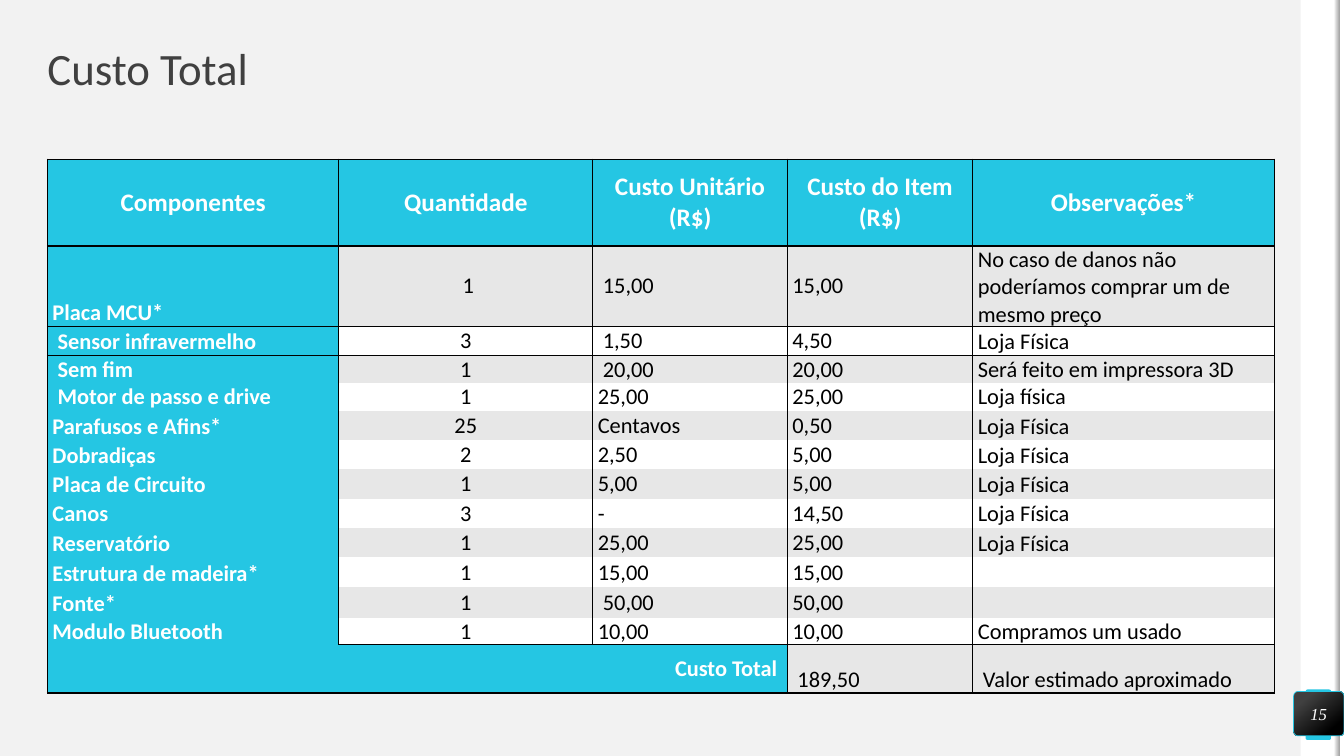
from lxml.etree import SubElement
from pptx import Presentation
from pptx.dml.color import RGBColor
from pptx.enum.shapes import MSO_SHAPE as Preset
from pptx.enum.text import MSO_ANCHOR as Anchor, PP_ALIGN as Align
from pptx.oxml.ns import qn
from pptx.util import Inches, Pt

COLORS = {"paper": "F2F2F2", "white": "FFFFFF", "cyan": "25C6E3", "band": "E7E7E7",
          "title": "404040", "black": "000000", "edge": "A6A6A6"}
PLAIN_TABLE = "{2D5ABB26-0587-4C30-8999-92F81FD0307C}"

# A leading or trailing space marks a cell with a wider margin on that side
COSTS = [
    ["Componentes", "Quantidade", "Custo Unitário\n(R$)", "Custo do Item\n(R$)", "Observações*"],
    ["Placa MCU*", " 1", " 15,00", "15,00",
     "No caso de danos não poderíamos comprar um de mesmo preço"],
    [" Sensor infravermelho", "3", " 1,50", "4,50", "Loja Física"],
    [" Sem fim", "1", " 20,00", "20,00", "Será feito em impressora 3D"],
    [" Motor de passo e drive", "1", "25,00", "25,00", "Loja física"],
    ["Parafusos e Afins*", "25", "Centavos", "0,50", "Loja Física"],
    ["Dobradiças", "2", "2,50", "5,00", "Loja Física"],
    ["Placa de Circuito", "1", "5,00", "5,00", "Loja Física"],
    ["Canos", "3", "-", "14,50", "Loja Física"],
    ["Reservatório", "1", "25,00", "25,00", "Loja Física"],
    ["Estrutura de madeira*", "1", "15,00", "15,00", ""],
    ["Fonte*", "1", " 50,00", "50,00", ""],
    ["Modulo Bluetooth", "1", "10,00", "10,00", "Compramos um usado"],
    ["Custo Total ", "", "", " 189,50", " Valor estimado aproximado"],
]
COLUMN_SHARES = [21.68, 18.9, 14.48, 13.8, 22.43]
ROW_SHARES = [11.47, 5.47, 3.87, 3.33, 3.73] + [3.87] * 7 + [3.07, 6.4]
TOTAL = len(COSTS) - 1


def rgb(name):
    return RGBColor.from_string(COLORS[name])


def write(frame, text, size=16, color="black", font="Calibri", bold=False,
          italic=False, align=Align.LEFT, spacing=None):
    """Fill a text frame, one paragraph per line of text."""
    for number, line in enumerate(text.split("\n")):
        paragraph = frame.paragraphs[0] if number == 0 else frame.add_paragraph()
        paragraph.alignment = align
        if spacing:
            paragraph.line_spacing = spacing
        run = paragraph.add_run()
        run.text = line
        run.font.size, run.font.name = Pt(size), font
        run.font.bold, run.font.italic = bold, italic
        run.font.color.rgb = rgb(color)


class CostSlide:
    """Places elements by percentages of the slide's width and height."""

    def __init__(self):
        self.deck = Presentation()
        self.deck.slide_width, self.deck.slide_height = Inches(13.33), Inches(7.5)
        self.slide = self.deck.slides.add_slide(self.deck.slide_layouts[6])
        self.slide.background.fill.solid()
        self.slide.background.fill.fore_color.rgb = rgb("paper")

    def across(self, share):
        return round(self.deck.slide_width * share / 100)

    def down(self, share):
        return round(self.deck.slide_height * share / 100)

    def box(self, left, top, width, height):
        return self.across(left), self.down(top), self.across(width), self.down(height)

    def block(self, area, fill=None, stops=(), angle=0, corner=None, line=None):
        preset = Preset.RECTANGLE if corner is None else Preset.ROUNDED_RECTANGLE
        shape = self.slide.shapes.add_shape(preset, *self.box(*area))
        shape.shadow.inherit = False
        if corner is not None:
            shape.adjustments[0] = corner
        if stops:
            shape.fill.gradient()
            shape.fill.gradient_angle = angle
            for stop, (position, color) in zip(shape.fill.gradient_stops, stops):
                stop.position, stop.color.rgb = position, rgb(color)
        else:
            shape.fill.solid()
            shape.fill.fore_color.rgb = rgb(fill)
        if line:
            shape.line.color.rgb, shape.line.width = rgb(line), Pt(0.5)
        else:
            shape.line.fill.background()
        return shape

    def label(self, shape, text, **style):
        frame = shape.text_frame
        frame.margin_left = frame.margin_right = frame.margin_top = frame.margin_bottom = 0
        frame.vertical_anchor, frame.word_wrap = Anchor.MIDDLE, True
        write(frame, text, **style)

    def text(self, area, text, **style):
        self.label(self.slide.shapes.add_textbox(*self.box(*area)), text, **style)

    def border(self, cell, sides):
        properties = cell._tc.get_or_add_tcPr()
        for side in sides:
            edge = SubElement(properties, qn(f"a:ln{side}"), w=str(Pt(1)))
            SubElement(SubElement(edge, qn("a:solidFill")), qn("a:srgbClr"), val=COLORS["black"])

    def cost_cell(self, cell, row, column):
        text = COSTS[row][column]
        header, named = row == 0, column == 0
        accent = header or named
        cell.margin_left = Inches(0.1 if text.startswith(" ") else 0.05)
        cell.margin_right = Inches(0.1 if text.endswith(" ") else 0.05)
        cell.margin_top = cell.margin_bottom = 0

        # Rules: header, first item, above the total and the foot
        sides = "LR"
        if row < 3 or (row == TOTAL and column > 2):
            sides += "T"
        if row < 2 or row == TOTAL or (row == TOTAL - 1 and column > 0):
            sides += "B"
        self.border(cell, sides)
        cell.fill.solid()
        cell.fill.fore_color.rgb = rgb("cyan" if accent else "band" if row % 2 else "white")

        align, anchor = Align.LEFT, Anchor.MIDDLE
        if row == TOTAL and named:
            align = Align.RIGHT
        elif header or column == 1:
            align = Align.CENTER
        elif named or column == 4 or row == TOTAL:
            anchor = Anchor.BOTTOM
        cell.vertical_anchor = anchor
        write(cell.text_frame, text.strip(), size=18 if header else 16, bold=accent,
              color="white" if accent else "black", align=align)

    def cost_table(self, left, top):
        area = self.box(left, top, sum(COLUMN_SHARES), sum(ROW_SHARES))
        holder = self.slide.shapes.add_table(len(COSTS), len(COLUMN_SHARES), *area)
        holder._element.find(".//" + qn("a:tableStyleId")).text = PLAIN_TABLE
        table = holder.table
        table.first_row = table.horz_banding = False
        for column, share in zip(table.columns, COLUMN_SHARES):
            column.width = self.across(share)
        for row, share in zip(table.rows, ROW_SHARES):
            row.height = self.down(share)
        table.cell(TOTAL, 0).merge(table.cell(TOTAL, 2))
        for row in range(len(COSTS)):
            for column in range(len(COLUMN_SHARES)):
                cell = table.cell(row, column)
                if not cell.is_spanned:
                    self.cost_cell(cell, row, column)


def main():
    page = CostSlide()

    # Right-hand margin
    page.block((96.77, 0, 2.93, 100), fill="white")
    page.block((97.15, 91.2, 1.88, 6.67), fill="cyan", corner=0.07)
    page.block((99.66, 0, 0.34, 100), fill="white")
    page.block((99.29, 0, 0.38, 100), stops=[(0, "paper"), (1, "edge")])

    # Title
    page.text((3.53, 6.27, 92.95, 6.27), "Custo Total", size=32, color="title", spacing=0.9)

    # Page number
    badge = page.block((96.25, 91.47, 3.75, 5.87), corner=0.1, line="cyan", angle=310,
                       stops=[(0.2, "title"), (0.82, "black")])
    page.label(badge, "15", size=12, color="white", font="Times New Roman",
               italic=True, align=Align.CENTER)

    # Costs
    page.cost_table(3.53, 21.07)
    page.deck.save("out.pptx")


if __name__ == "__main__":
    main()
